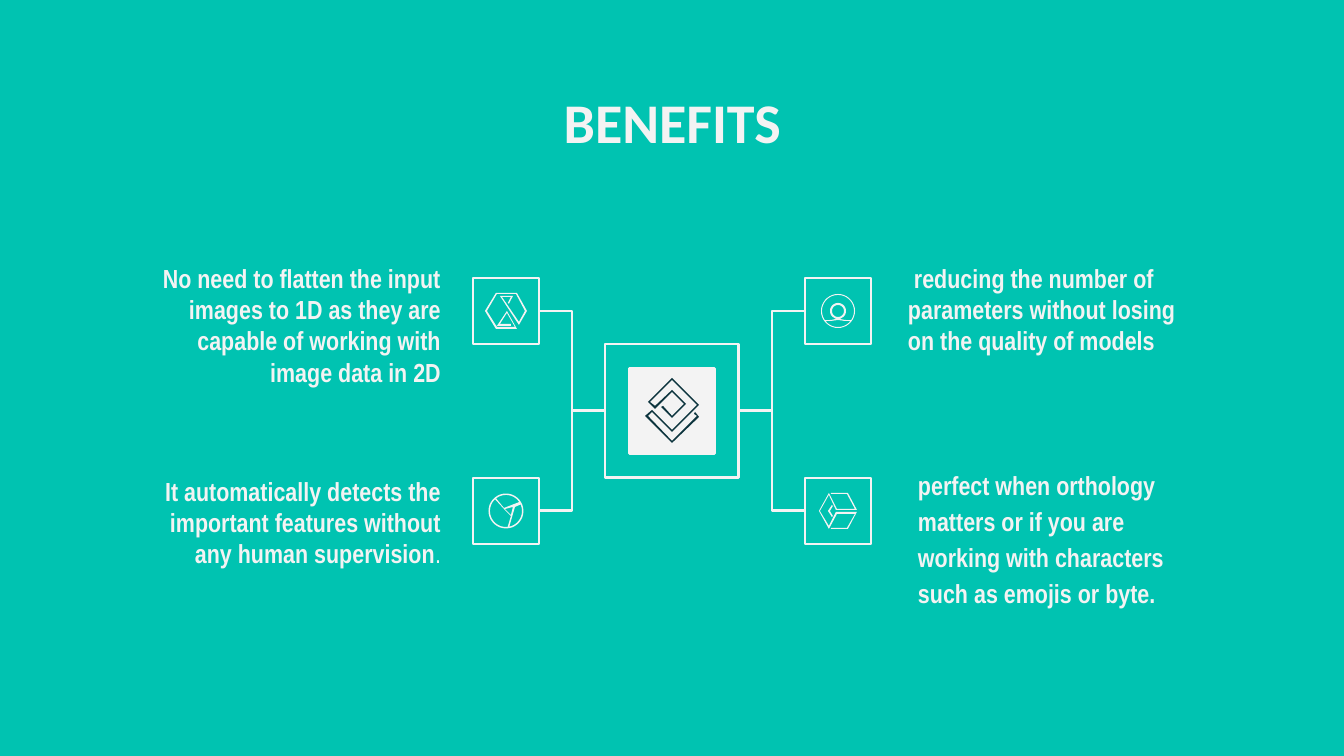
"""Build the BENEFITS slide: a central hub joined to four icon tiles with captions."""
from dataclasses import dataclass
from itertools import product
from math import cos, radians, sin

from lxml.etree import SubElement
from pptx import Presentation
from pptx.dml.color import RGBColor
from pptx.enum.shapes import MSO_CONNECTOR, MSO_SHAPE
from pptx.enum.text import MSO_ANCHOR, MSO_AUTO_SIZE, PP_ALIGN
from pptx.oxml.ns import qn
from pptx.util import Emu, Pt

WIDTH, HEIGHT = 1344, 756
SCALE = 9144000 / WIDTH
HUB_X, HUB_Y, HUB_SIZE, BADGE_SIZE = 672, 411, 134, 85
TILE_SIZE, TILE_DX, TILE_DY = 66, 166, 100


@dataclass(frozen=True)
class Theme:
    background: RGBColor = RGBColor(0x00, 0xC3, 0xB1)
    light: RGBColor = RGBColor(0xF3, 0xF3, 0xF3)
    dark: RGBColor = RGBColor(0x0C, 0x34, 0x3D)
    title_font: str = "Calibri"
    body_font: str = "Arial Narrow"
    title_size: Pt = Pt(30)
    body_size: Pt = Pt(14)
    line_width: Pt = Pt(1.5)


THEME = Theme()

CAPTIONS = [
    (1, (126, 249, 328, 66), PP_ALIGN.RIGHT,
     [(" No need to flatten the input images to 1D as they are capable of "
       "working with image data in 2D", True)]),
    (2, (895, 249, 323, 66), PP_ALIGN.LEFT,
     [(" ", False),
      ("reducing the number of parameters without losing on the quality of models", True)]),
    (3, (126, 462, 328, 103), PP_ALIGN.RIGHT,
     [("It automatically detects the important features without any human supervision", True),
      (".", False)]),
]
LIST_LINES = ["perfect when orthology", "matters or if you are",
              "working with characters", "such as emojis or byte."]

DIAMOND = [(672, 378), (648, 402), (655, 409), (672, 392), (684, 404), (672, 416), (663, 406),
           (661, 407), (672, 418), (686, 404), (672, 390), (655, 406), (650, 402), (672, 380),
           (697, 405), (672, 430), (652, 410), (645, 416), (672, 443), (699, 417), (695, 412),
           (694, 414), (697, 416), (672, 441), (648, 416), (652, 412), (672, 432), (699, 405)]
HOURGLASS = [(496, 293), (485, 311), (496, 329), (517, 329), (507, 311), (497, 326), (511, 326),
             (511, 324), (500, 324), (507, 313), (515, 327), (497, 327), (487, 311), (497, 294),
             (516, 294), (525, 311), (519, 322), (502, 297), (511, 297), (508, 303), (509, 304),
             (513, 296), (500, 296), (519, 325), (527, 311), (517, 293)]
CUBE = [(848, 493), (831, 493), (831, 494), (847, 494), (855, 509), (837, 509), (829, 493),
        (819, 511), (829, 529), (837, 514), (855, 514), (847, 528), (831, 528), (831, 529),
        (848, 529), (857, 512), (836, 512), (829, 526), (820, 511), (829, 495), (836, 510),
        (857, 510)]
CHEVRON = [(832, 505), (828, 511), (832, 517), (833, 516), (830, 511), (833, 506)]


def px(value):
    """Turn pixels into EMU."""
    return Emu(round(value * SCALE))


def arc(center, radius, start, end, steps=36):
    """Return points along an arc, angles in degrees clockwise from the right."""
    angles = [radians(start + (end - start) * step / steps) for step in range(steps + 1)]
    return [(center[0] + radius * cos(angle), center[1] + radius * sin(angle))
            for angle in angles]


def person_contours():
    """Return the outline and the holes of the person icon."""
    center = (838, 311)
    shoulders = (arc(center, 16, 145, 395)
                 + [(845, 320), (840, 319)] + arc(center, 8, 45, -225)
                 + [(836, 319), (831, 320)])
    chest = [(838, 320), (845, 321)] + arc(center, 16, 39, 141) + [(831, 321)]
    return [arc(center, 17, 0, 360), arc(center, 6, 0, 360), shoulders, chest]


def pie_contours():
    """Return the outline and the holes of the pie icon."""
    center = (506, 511)
    return [arc(center, 17.5, 0, 360),
            arc(center, 16, 232, 326) + [(504, 508)],
            [(513, 507), (511, 515), (505, 509)],
            arc(center, 16, -24, 78) + [(515, 507)],
            arc(center, 16, 84, 227) + [(504, 509), (511, 516)]]


def place(shape, bounds):
    """Set the left, top, width and height of a shape."""
    shape.left, shape.top, shape.width, shape.height = map(px, bounds)


def format_frame(frame):
    """Give a text frame its insets and anchor it at the top."""
    frame.word_wrap = True
    frame.auto_size = MSO_AUTO_SIZE.NONE
    frame.vertical_anchor = MSO_ANCHOR.TOP
    frame.margin_left = frame.margin_right = px(13)
    frame.margin_top = frame.margin_bottom = px(13)


def format_span(span, name, size, bold):
    """Set the font of one run."""
    span.font.name, span.font.size, span.font.bold = name, size, bold
    span.font.color.rgb = THEME.light


def format_paragraph(para, align, after=0, spacing=1.0, left=0, indent=0):
    """Set alignment, spacing and indents, and switch the bullet off."""
    para.alignment = align
    para.space_before, para.space_after = Pt(0), Pt(after)
    para.line_spacing = spacing
    properties = para._p.get_or_add_pPr()
    properties.set("marL", str(px(left)))
    properties.set("indent", str(px(indent)))
    SubElement(properties, qn("a:buNone"))


def add_title(page, text):
    """Fill the title placeholder."""
    title = page.shapes.title
    place(title, (106, 75, 1133, 85))
    title.text_frame.text = text
    format_frame(title.text_frame)
    para = title.text_frame.paragraphs[0]
    format_paragraph(para, PP_ALIGN.CENTER)
    format_span(para.runs[0], THEME.title_font, THEME.title_size, True)


def add_caption(page, index, bounds, align, spans):
    """Fill a body placeholder with one paragraph of spans."""
    box = page.placeholders[index]
    place(box, bounds)
    format_frame(box.text_frame)
    para = box.text_frame.paragraphs[0]
    format_paragraph(para, align, after=16)
    for text, bold in spans:
        span = para.add_run()
        span.text = text
        format_span(span, THEME.body_font, THEME.body_size, bold)


def add_list(page, index, bounds, lines):
    """Fill a body placeholder with one indented paragraph per line."""
    box = page.placeholders[index]
    place(box, bounds)
    box.text_frame.text = "\n".join(lines)
    format_frame(box.text_frame)
    for para in box.text_frame.paragraphs:
        format_paragraph(para, PP_ALIGN.LEFT, spacing=1.15, left=67, indent=-44)
        format_span(para.runs[0], THEME.body_font, THEME.body_size, True)


def add_square(page, center_x, center_y, size, filled=False):
    """Add an outlined square around a centre."""
    square = page.shapes.add_shape(MSO_SHAPE.RECTANGLE, px(center_x - size / 2),
                                   px(center_y - size / 2), px(size), px(size))
    square.shadow.inherit = False
    if filled:
        square.fill.solid()
        square.fill.fore_color.rgb = THEME.light
    else:
        square.fill.background()
    square.line.color.rgb = THEME.light
    square.line.width = THEME.line_width
    return square


def add_icon(page, contours, color):
    """Add a filled outline made of one or more closed contours."""
    builder = None
    for contour in contours:
        points = [(px(x), px(y)) for x, y in contour]
        if builder is None:
            builder = page.shapes.build_freeform(*points[0])
        else:
            builder.move_to(*points[0])
        builder.add_line_segments(points[1:], close=True)
    icon = builder.convert_to_shape()
    icon.shadow.inherit = False
    icon.fill.solid()
    icon.fill.fore_color.rgb = color
    icon.line.fill.background()


def add_branch(page, tile, tile_side, hub, hub_side):
    """Join a tile to the hub with an elbow connector."""
    branch = page.shapes.add_connector(MSO_CONNECTOR.ELBOW, 0, 0, 0, 0)
    branch.begin_connect(tile, tile_side)
    branch.end_connect(hub, hub_side)
    branch.line.color.rgb = THEME.light
    branch.line.width = THEME.line_width
    SubElement(branch._element.spPr, qn("a:effectLst"))


def main():
    """Build and save the deck."""
    deck = Presentation()
    deck.slide_width, deck.slide_height = px(WIDTH), px(HEIGHT)
    page = deck.slides.add_slide(deck.slide_layouts.get_by_name("Comparison"))
    page.background.fill.solid()
    page.background.fill.fore_color.rgb = THEME.background
    add_title(page, "BENEFITS")
    for caption in CAPTIONS:
        add_caption(page, *caption)
    add_list(page, 4, (882, 452, 323, 137), LIST_LINES)
    hub = add_square(page, HUB_X, HUB_Y, HUB_SIZE)
    add_square(page, HUB_X, HUB_Y, BADGE_SIZE, filled=True)
    add_icon(page, [DIAMOND], THEME.dark)
    for contours in ([CUBE], [CHEVRON], [HOURGLASS], person_contours(), pie_contours()):
        add_icon(page, contours, THEME.light)
    for side, level in product((-1, 1), repeat=2):
        tile = add_square(page, HUB_X + side * TILE_DX, HUB_Y + level * TILE_DY, TILE_SIZE)
        add_branch(page, tile, 2 - side, hub, 2 + side)
    deck.save("out.pptx")


if __name__ == "__main__":
    main()
